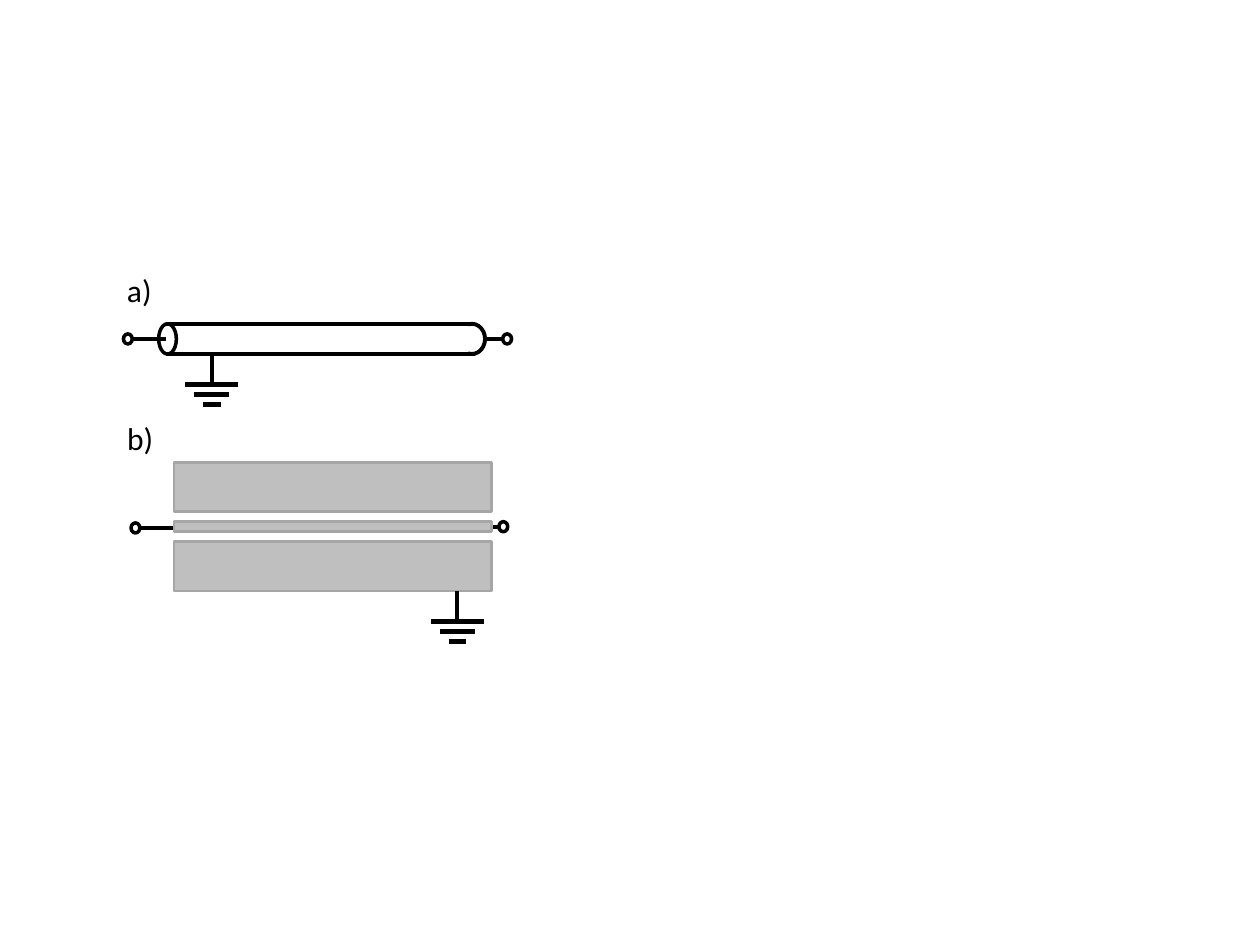
from pptx import Presentation
from pptx.dml.color import RGBColor
from pptx.enum.shapes import MSO_CONNECTOR, MSO_SHAPE as Preset
from pptx.enum.text import MSO_AUTO_SIZE as AutoSize
from pptx.util import Inches, Pt
from lxml.etree import SubElement
from pptx.oxml.ns import qn

BLACK, WHITE, GREY, EDGE = "000000", "FFFFFF", "BFBFBF", "A6A6A6"
LABELS = [("a)", 2.1, 0.4), ("b)", 3.28, 0.41)]
LABEL_LEFT, LABEL_HEIGHT = 0.91, 0.4
RING_WIDTH, RING_HEIGHT = 0.07, 0.08
WIRE, BAR = 2.25, 3
GROUND_DROP, BAR_GAP = 0.24, 0.08
GROUND_HALF_WIDTHS = [0.21, 0.14, 0.07]
CABLE_LEFT, CABLE_RIGHT, CABLE_TOP, CABLE_HEIGHT = 1.32, 3.77, 2.57, 0.24
STRIP_LEFT, STRIP_WIDTH, STRIP_TOP, STRIP_GAP = 1.38, 2.52, 3.67, 0.08
STRIP_HEIGHTS = [0.39, 0.08, 0.39]


def color(value):
    return RGBColor.from_string(value)


def add_line(shapes, x1, y1, x2, y2, width=WIRE):
    line = shapes.add_connector(MSO_CONNECTOR.STRAIGHT, *map(Inches, (x1, y1, x2, y2)))
    line.line.color.rgb = color(BLACK)
    line.line.width = Pt(width)
    SubElement(line._element.spPr, qn("a:effectLst"))


def add_shape(shapes, preset, left, top, width, height, fill=None, edge=BLACK, weight=2):
    shape = shapes.add_shape(preset, *map(Inches, (left, top, width, height)))
    shape.shadow.inherit = False
    if fill:
        shape.fill.solid()
        shape.fill.fore_color.rgb = color(fill)
    else:
        shape.fill.background()
    shape.line.color.rgb = color(edge)
    shape.line.width = Pt(weight)
    return shape


def add_terminal(shapes, inner, outer, y):
    add_line(shapes, outer, y, inner, y)
    ring_left = outer - RING_WIDTH if outer < inner else outer
    add_shape(shapes, Preset.OVAL, ring_left, y - RING_HEIGHT / 2, RING_WIDTH, RING_HEIGHT)


def add_ground(shapes, x, top):
    add_line(shapes, x, top, x, top + GROUND_DROP)
    for row, half in enumerate(GROUND_HALF_WIDTHS):
        y = top + GROUND_DROP + row * BAR_GAP
        add_line(shapes, x - half, y, x + half, y, BAR)


def add_label(shapes, text, top, width):
    box = shapes.add_textbox(*map(Inches, (LABEL_LEFT, top, width, LABEL_HEIGHT)))
    frame = box.text_frame
    frame.word_wrap = False
    frame.auto_size = AutoSize.SHAPE_TO_FIT_TEXT
    span = frame.paragraphs[0].add_run()
    span.text = text
    span.font.name = "Calibri"
    span.font.size = Pt(18)
    span.font.color.rgb = color(BLACK)


def add_cable(shapes):
    middle, bottom = CABLE_TOP + CABLE_HEIGHT / 2, CABLE_TOP + CABLE_HEIGHT
    add_shape(shapes, Preset.OVAL, 1.26, CABLE_TOP, 0.14, CABLE_HEIGHT, WHITE)
    for y in (CABLE_TOP, bottom):
        add_line(shapes, CABLE_LEFT, y, CABLE_RIGHT, y)
    end = add_shape(shapes, Preset.ARC, 3.64, CABLE_TOP, 0.21, CABLE_HEIGHT, weight=WIRE)
    end.adjustments[0], end.adjustments[1] = 153.77, 62.41
    add_ground(shapes, 1.68, bottom)
    add_terminal(shapes, CABLE_LEFT, 1.05, middle)
    add_terminal(shapes, 3.85, 3.99, middle)


def add_strips(shapes):
    top = STRIP_TOP
    for height in STRIP_HEIGHTS:
        add_shape(shapes, Preset.RECTANGLE, STRIP_LEFT, top, STRIP_WIDTH, height, GREY, EDGE, 1.5)
        top += height + STRIP_GAP
    add_ground(shapes, 3.63, top - STRIP_GAP)


def main():
    deck = Presentation()
    deck.slide_width, deck.slide_height = Inches(10), Inches(7.5)
    page = deck.slides.add_slide(deck.slide_layouts[6])
    add_terminal(page.shapes, 3.82, 3.96, 4.18)
    add_terminal(page.shapes, 1.39, 1.11, 4.19)
    add_cable(page.shapes.add_group_shape().shapes)
    for label in LABELS:
        add_label(page.shapes, *label)
    add_strips(page.shapes)
    deck.save("out.pptx")


if __name__ == "__main__":
    main()
